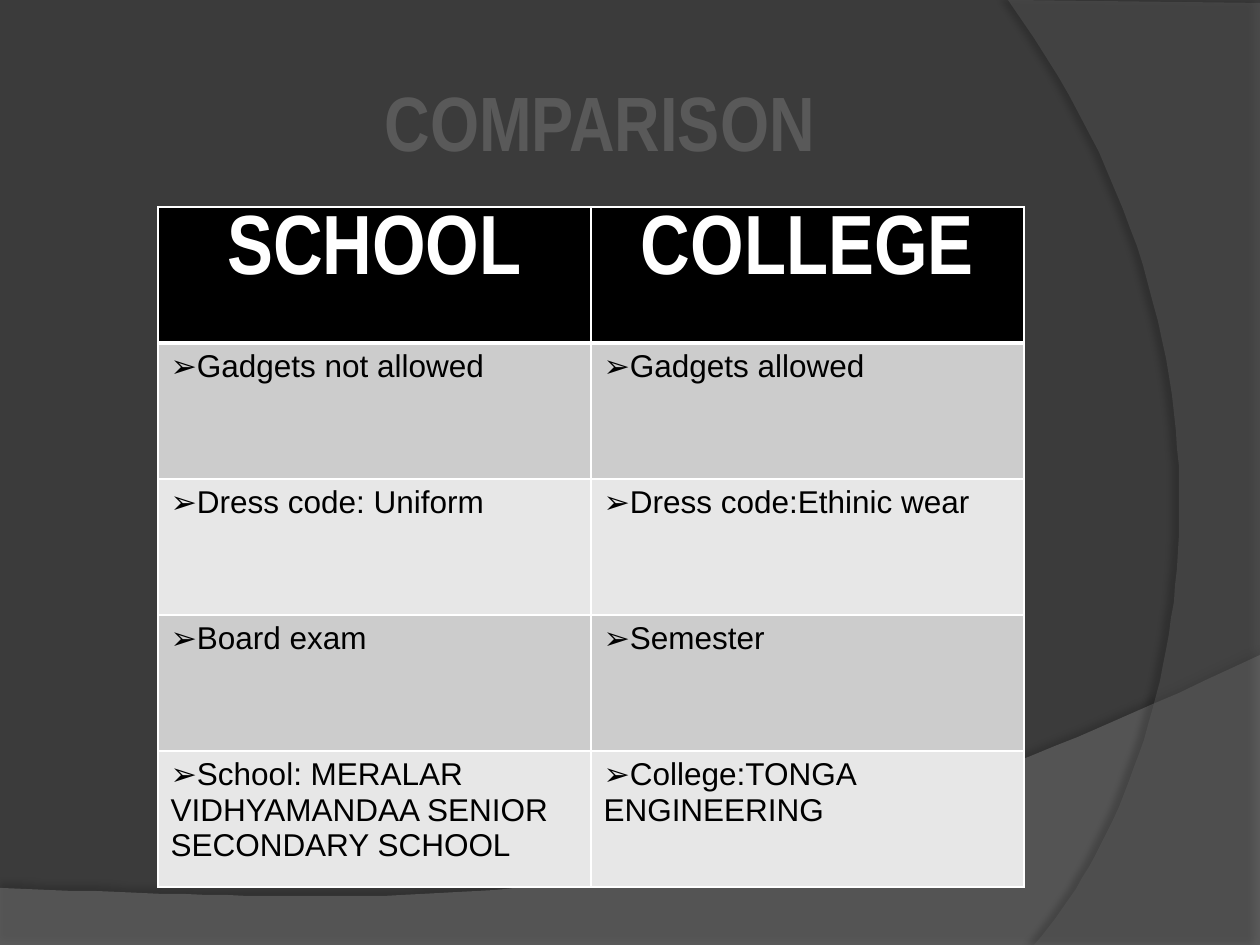
"""Build the school and college comparison slide."""
from dataclasses import dataclass

from lxml.etree import SubElement, fromstring
from pptx import Presentation
from pptx.dml.color import RGBColor
from pptx.enum.text import MSO_ANCHOR, PP_ALIGN
from pptx.oxml.ns import nsdecls, qn
from pptx.util import Emu, Pt

PX = 914400 / 126
WIDTH, HEIGHT = 1260, 945
BACKGROUND = RGBColor(0x3B, 0x3B, 0x3B)
TITLE_GRAY = RGBColor(0x59, 0x59, 0x59)
WAVE_GRAY = RGBColor(0x7F, 0x7F, 0x7F)
ARC_GRAY = RGBColor(0x5E, 0x5E, 0x5E)
BLACK = RGBColor(0, 0, 0)
WHITE = RGBColor(0xFF, 0xFF, 0xFF)
BANDS = (RGBColor(0xCC, 0xCC, 0xCC), RGBColor(0xE7, 0xE7, 0xE7))

Point = tuple[int, int]
TITLE_FONT = {"name": "Arial Narrow", "size": Pt(44), "bold": True}
HEADER_FONT = {"name": "Arial Narrow", "size": Pt(48), "bold": True}
BODY_FONT = {"name": "Arial", "size": Pt(18), "bold": False}

ROWS = (
    ("SCHOOL", "COLLEGE"),
    ("Gadgets not allowed", "Gadgets allowed"),
    ("Dress code: Uniform", "Dress code:Ethinic wear"),
    ("Board exam", "Semester"),
    ("School: MERALAR VIDHYAMANDAA SENIOR SECONDARY SCHOOL", "College:TONGA ENGINEERING"),
)


@dataclass(frozen=True)
class Swoosh:
    """A translucent background outline with one curved side."""

    corners: tuple[Point, ...]
    controls: tuple[Point, Point]
    end: Point
    color: RGBColor
    opacity: int
    shadow_opacity: int
    shadow_distance: float
    shadow_angle: int


SWOOSHES = (
    Swoosh(((0, 888), (0, 946), (1260, 946), (1260, 655)), ((704, 919), (493, 906)),
           (0, 888), WAVE_GRAY, 45, 35, 3.5, 270),
    Swoosh(((1260, 3), (1260, 945), (1034, 945)), ((1178, 780), (1283, 378)),
           (1008, 0), ARC_GRAY, 40, 45, 4, 180),
)


def px(length: float) -> Emu:
    """Turn pixels into EMU."""
    return Emu(round(length * PX))


def curve(start: Point, controls: tuple[Point, Point], end: Point, steps: int = 60) -> list:
    """Return points along a cubic curve, after its start."""
    points = []
    for step in range(1, steps + 1):
        t = step / steps
        weights = ((1 - t) ** 3, 3 * t * (1 - t) ** 2, 3 * t * t * (1 - t), t ** 3)
        knots = (start, *controls, end)
        points.append(tuple(sum(w * knot[axis] for w, knot in zip(weights, knots))
                            for axis in (0, 1)))
    return points


def draw_swoosh(slide, swoosh: Swoosh) -> None:
    """Draw a background outline with its shadow."""
    first, *others = swoosh.corners
    builder = slide.shapes.build_freeform(*first, scale=PX)
    builder.add_line_segments(others + curve(swoosh.corners[-1], swoosh.controls, swoosh.end))
    shape = builder.convert_to_shape()
    shape.fill.solid()
    shape.fill.fore_color.rgb = swoosh.color
    shape.line.fill.background()
    color = shape._element.spPr.find(f"{qn('a:solidFill')}/{qn('a:srgbClr')}")
    SubElement(color, qn("a:alpha"), val=str(swoosh.opacity * 1000))
    shape._element.spPr.append(fromstring(
        f'<a:effectLst {nsdecls("a")}><a:outerShdw blurRad="{Pt(4)}" '
        f'dist="{Pt(swoosh.shadow_distance)}" dir="{swoosh.shadow_angle * 60000}" '
        f'algn="ctr" rotWithShape="0"><a:srgbClr val="{BLACK}">'
        f'<a:alpha val="{swoosh.shadow_opacity * 1000}"/></a:srgbClr>'
        '</a:outerShdw></a:effectLst>'))


def write(paragraph, text: str, font_format: dict, color: RGBColor) -> None:
    """Put formatted text into a paragraph."""
    run = paragraph.add_run()
    run.text = text
    for name, value in font_format.items():
        setattr(run.font, name, value)
    run.font.color.rgb = color


def draw_title(slide, text: str) -> None:
    """Draw the centred slide title."""
    box = slide.shapes.add_textbox(px(158), px(66), px(884), px(110))
    frame = box.text_frame
    frame.word_wrap = True
    frame.vertical_anchor = MSO_ANCHOR.MIDDLE
    frame.paragraphs[0].alignment = PP_ALIGN.CENTER
    write(frame.paragraphs[0], text, TITLE_FONT, TITLE_GRAY)


def set_borders(cell, top: int, bottom: int) -> None:
    """Give a cell white borders, with widths in points."""
    sides = {"L": 1, "R": 1, "T": top, "B": bottom}
    for index, (side, width) in enumerate(sides.items()):
        cell._tc.get_or_add_tcPr().insert(index, fromstring(
            f'<a:ln{side} {nsdecls("a")} w="{Pt(width)}"><a:solidFill>'
            f'<a:srgbClr val="{WHITE}"/></a:solidFill></a:ln{side}>'))


def add_bullet(paragraph) -> None:
    """Mark a paragraph with an arrow bullet."""
    properties = paragraph._p.get_or_add_pPr()
    properties.set("marL", "0")
    properties.set("indent", "0")
    SubElement(properties, qn("a:buFont"), typeface="Arial")
    SubElement(properties, qn("a:buChar"), char="➢")


def draw_table(slide) -> None:
    """Draw the comparison table."""
    column_width, row_height = 433, 136
    frame = slide.shapes.add_table(len(ROWS), 2, px(158), px(207),
                                   px(2 * column_width), px(len(ROWS) * row_height))
    for row_index, texts in enumerate(ROWS):
        is_header = row_index == 0
        for column_index, text in enumerate(texts):
            cell = frame.table.cell(row_index, column_index)
            cell.fill.solid()
            cell.fill.fore_color.rgb = BLACK if is_header else BANDS[(row_index - 1) % 2]
            set_borders(cell, 3 if row_index == 1 else 1, 3 if is_header else 1)
            paragraph = cell.text_frame.paragraphs[0]
            if is_header:
                paragraph.alignment = PP_ALIGN.CENTER
                write(paragraph, text, HEADER_FONT, WHITE)
            else:
                add_bullet(paragraph)
                write(paragraph, text, BODY_FONT, BLACK)


def main() -> None:
    """Build and save the presentation."""
    presentation = Presentation()
    presentation.slide_width, presentation.slide_height = px(WIDTH), px(HEIGHT)
    slide = presentation.slides.add_slide(presentation.slide_layouts[6])
    slide.background.fill.solid()
    slide.background.fill.fore_color.rgb = BACKGROUND
    for swoosh in SWOOSHES:
        draw_swoosh(slide, swoosh)
    draw_title(slide, "COMPARISON")
    draw_table(slide)
    presentation.save("out.pptx")


if __name__ == "__main__":
    main()
